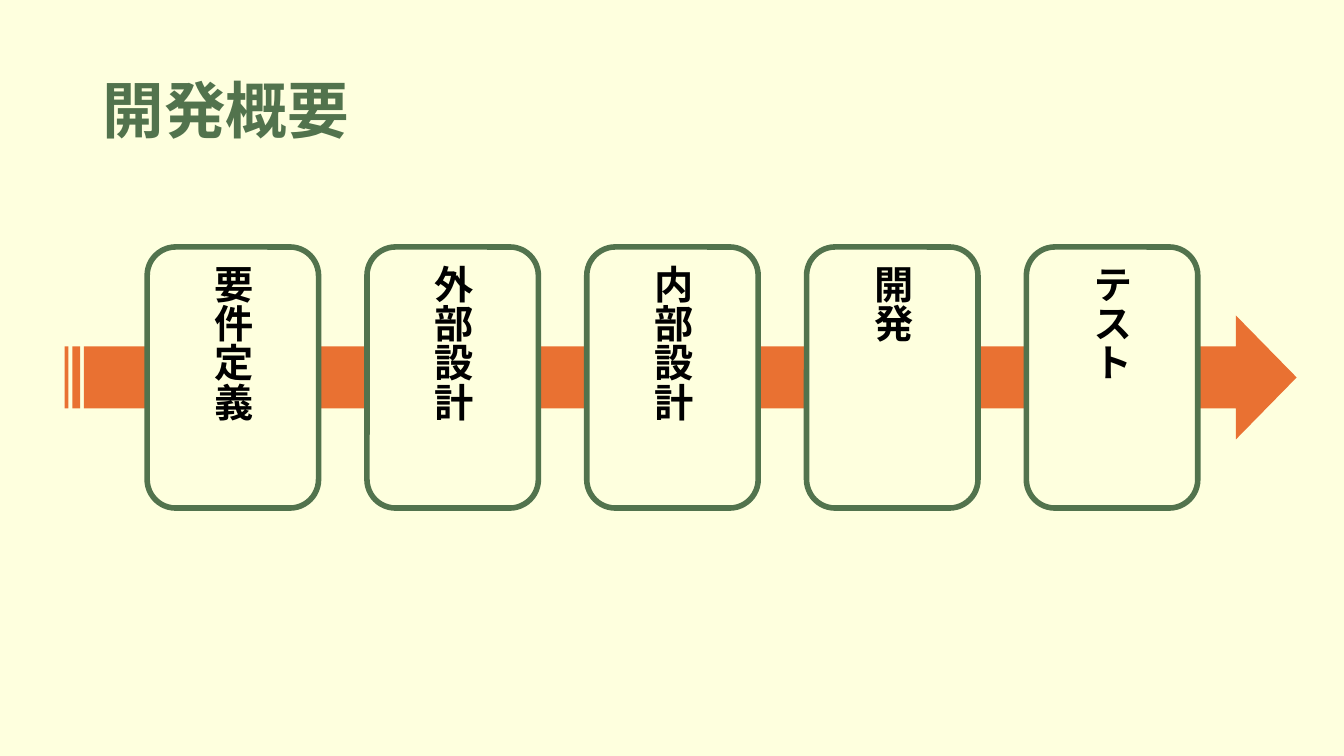
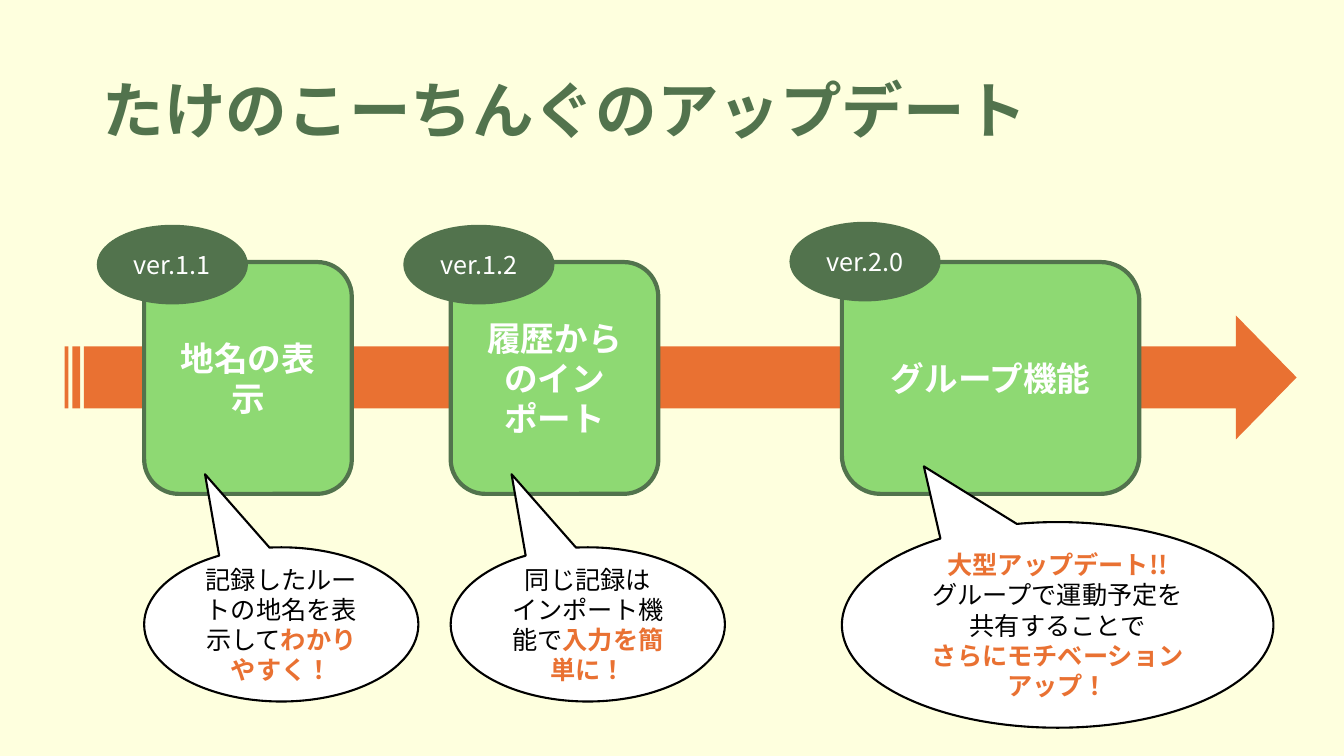
"""Build two slides: the development phases and the planned app updates."""
import pptx
import pptx.dml.color
import pptx.enum.lang
import pptx.enum.shapes
import pptx.enum.text
import pptx.oxml
import pptx.oxml.ns
import pptx.util

Inches = pptx.util.Inches
RGBColor = pptx.dml.color.RGBColor
SHAPES = pptx.enum.shapes.MSO_SHAPE
ALIGN = pptx.enum.text.PP_ALIGN

CREAM = RGBColor(0xFE, 0xFF, 0xDE)
DARK_GREEN = RGBColor(0x52, 0x73, 0x4D)
LIGHT_GREEN = RGBColor(0x8E, 0xD9, 0x73)
ORANGE = RGBColor(0xE9, 0x71, 0x32)
BLACK = RGBColor(0x00, 0x00, 0x00)
WHITE = RGBColor(0xFF, 0xFF, 0xFF)
FONT = "Noto Sans CJK JP"


def write_text(shape, text, size=18, color=BLACK, bold=False, align=ALIGN.CENTER, spacing=None):
    """Write one paragraph per line; parts between asterisks become bold orange."""
    frame = shape.text_frame
    frame.word_wrap = True
    frame.vertical_anchor = pptx.enum.text.MSO_ANCHOR.MIDDLE
    for index, line in enumerate(text.split("\n")):
        paragraph = frame.add_paragraph() if index else frame.paragraphs[0]
        paragraph.alignment = align
        if spacing:
            paragraph.line_spacing = spacing
        for position, part in enumerate(line.split("*")):
            if not part:
                continue
            highlighted = position % 2 == 1
            run = paragraph.add_run()
            run.text = part
            run.font.name = FONT
            run.font.size = pptx.util.Pt(size)
            run.font.bold = bold or highlighted
            run.font.color.rgb = ORANGE if highlighted else color
            run.font.language_id = pptx.enum.lang.MSO_LANGUAGE_ID.JAPANESE
            east_asian = pptx.oxml.parse_xml(
                f'<a:ea {pptx.oxml.ns.nsdecls("a")} typeface="{FONT}"/>')
            run.font.language_id and run._r.get_or_add_rPr().append(east_asian)


def add_shape(slide, kind, left, top, width, height, fill, line=None, line_width=0, adjustments=()):
    """Add a flat preset shape measured in inches."""
    shape = slide.shapes.add_shape(kind, Inches(left), Inches(top), Inches(width), Inches(height))
    shape.shadow.inherit = False
    shape.fill.solid()
    shape.fill.fore_color.rgb = fill
    if line is None:
        shape.line.fill.background()
    else:
        shape.line.color.rgb = line
        shape.line.width = pptx.util.Pt(line_width)
    for index, value in enumerate(adjustments):
        shape.adjustments[index] = value
    return shape


presentation = pptx.Presentation()
presentation.slide_width = Inches(13.33)
presentation.slide_height = Inches(7.5)
background = presentation.slide_master.background.fill
background.solid()
background.fore_color.rgb = CREAM

slides = []
for title in ("開発概要", "たけのこーちんぐのアップデート"):
    slide = presentation.slides.add_slide(presentation.slide_layouts[6])
    title_box = slide.shapes.add_textbox(Inches(0.92), Inches(0.4), Inches(11.5), Inches(1.45))
    write_text(title_box, title, size=44, color=DARK_GREEN, bold=True, align=ALIGN.LEFT, spacing=0.9)
    add_shape(slide, SHAPES.STRIPED_RIGHT_ARROW, 0.64, 3.13, 12.22, 1.23, ORANGE,
              adjustments=(0.5, 0.49))
    slides.append(slide)
phase_slide, update_slide = slides

for index, phase in enumerate(("要件定義", "外部設計", "内部設計", "開発", "テスト")):
    phase_box = add_shape(phase_slide, SHAPES.ROUNDED_RECTANGLE, 1.46 + 2.18 * index, 2.45,
                          1.7, 2.59, CREAM, DARK_GREEN, 4)
    write_text(phase_box, phase, size=28, bold=True)
    phase_box.text_frame._txBody.bodyPr.set("vert", "eaVert")

SMALL_CALLOUT = (5.43, 2.72, 1.53, (-0.278, -0.974))
LARGE_CALLOUT = (5.18, 4.28, 2.04, (-0.31, -0.771))
updates = (
    ("ver.1.1", 0.96, 2.23, "地名の表示", 1.43, 2.06, SMALL_CALLOUT,
     "記録したルートの地名を表示して*わかりやすく！*"),
    ("ver.1.2", 4, 2.23, "履歴からのインポート", 4.47, 2.06, SMALL_CALLOUT,
     "同じ記録は\nインポート機能で*入力を簡単に！*"),
    ("ver.2.0", 7.83, 2.2, "グループ機能", 8.35, 2.95, LARGE_CALLOUT,
     "*大型アップデート!!*\nグループで運動予定を\n共有することで\n*さらにモチベーションアップ！*"),
)
for version, badge_left, badge_top, feature, left, width, callout_format, benefit in updates:
    feature_box = add_shape(update_slide, SHAPES.ROUNDED_RECTANGLE, left, 2.6, width, 2.3,
                            LIGHT_GREEN, DARK_GREEN, 3)
    write_text(feature_box, feature, size=24, color=WHITE, bold=True)
    badge = add_shape(update_slide, SHAPES.OVAL, badge_left, badge_top, 1.5, 0.79, DARK_GREEN)
    write_text(badge, version, color=WHITE)
    callout_top, callout_width, callout_height, tail = callout_format
    callout = add_shape(update_slide, SHAPES.OVAL_CALLOUT, left, callout_top, callout_width,
                        callout_height, WHITE, BLACK, 1.5, tail)
    write_text(callout, benefit)

presentation.save("out.pptx")
